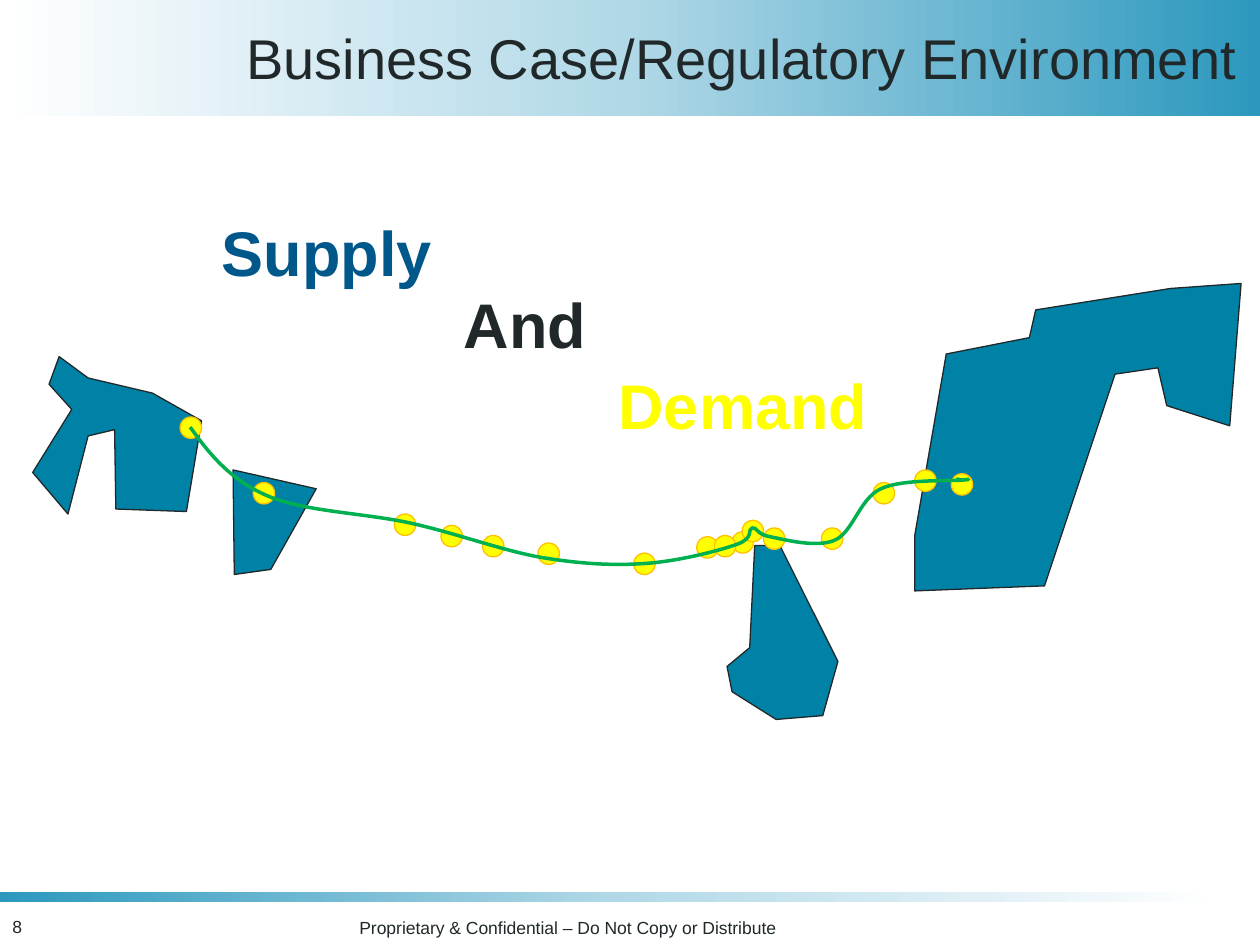
from copy import deepcopy

from lxml import etree
from pptx import Presentation
from pptx import util as u
from pptx.dml.color import RGBColor
from pptx.enum import shapes, text
from pptx.oxml import ns

COLORS = {
    "ink": "20282A", "white": "FFFFFF", "haze": "B0D8E7", "band": "2C98BE",
    "region": "0082A6", "supply": "00578A", "yellow": "FFFF00", "amber": "FFC000",
    "route": "00B050",
}
UNITS_PER_INCH = 100
STATION_SIZE = 0.17
HEADLINE_SIZE = (4.31, 0.71)
HEADLINES = [("Supply", "supply", 0.44, 1.64), ("And", "ink", 2.01, 2.21),
             ("Demand", "yellow", 3.74, 2.85)]
REGIONS = {
    "far west": [(0.47, 2.83), (0.39, 3.05), (0.57, 3.25), (0.26, 3.75), (0.54, 4.08),
                 (0.7, 3.46), (0.91, 3.41), (0.92, 4.04), (1.48, 4.06), (1.6, 3.34),
                 (1.21, 3.12), (0.7, 3)],
    "west": [(1.85, 3.73), (2.51, 3.88), (2.15, 4.52), (1.86, 4.56)],
    "south": [(5.99, 4.33), (6.19, 4.33), (6.65, 5.25), (6.53, 5.68), (6.16, 5.71),
              (5.81, 5.49), (5.77, 5.29), (5.95, 5.14)],
    "east": [(9.29, 2.29), (8.22, 2.46), (8.17, 2.68), (7.51, 2.81), (7.26, 4.25),
             (7.26, 4.69), (8.29, 4.65), (8.85, 2.97), (9.19, 2.92), (9.26, 3.22),
             (9.76, 3.38), (9.85, 2.25)],
}
STATIONS = {
    "west": [(1.43, 3.31), (2.01, 3.83), (3.13, 4.08), (3.5, 4.17), (3.83, 4.25)],
    "centre": [(4.27, 4.31), (5.03, 4.39), (5.53, 4.26), (5.81, 4.22), (6.06, 4.19),
               (6.52, 4.19), (5.67, 4.25), (5.89, 4.13)],
    "east": [(6.93, 3.83), (7.26, 3.73), (7.55, 3.76)],
}
ROUTE_STOPS = [
    (1.51, 3.39), (2.11, 3.93), (3.25, 4.15), (4.33, 4.43), (5.15, 4.47), (5.85, 4.32),
    (5.97, 4.19), (6.11, 4.26), (6.62, 4.29), (6.99, 3.88), (7.65, 3.81), (7.61, 3.81),
    (7.6, 3.79),
]


def inches(*values):
    """Convert inch measures to centimetre lengths."""
    return [u.Cm(value * 2.54) for value in values]


def rgb(name):
    """Look up a palette colour."""
    return RGBColor.from_string(COLORS[name])


def style_shape(shape, fill, line, width):
    """Set the fill, if any, and the outline, without a shadow."""
    shape.shadow.inherit = False
    if fill:
        shape.fill.solid()
        shape.fill.fore_color.rgb = rgb(fill)
    else:
        shape.fill.background()
    shape.line.color.rgb = rgb(line)
    shape.line.width = u.Pt(width)


def write_text(shape, wording, size, color, align, bold=False):
    """Fill a shape with one formatted paragraph."""
    shape.text_frame.text = wording
    shape.text_frame.word_wrap = True
    shape.text_frame.auto_size = text.MSO_AUTO_SIZE.NONE
    paragraph = shape.text_frame.paragraphs[0]
    paragraph.alignment = align
    font = paragraph.runs[0].font
    font.name, font.size, font.bold = "Arial", u.Pt(size), bold
    font.color.rgb = rgb(color)


def add_label(slide, box, wording, size, color, align, bold=False):
    """Add a text box with one formatted paragraph."""
    shape = slide.shapes.add_textbox(*inches(*box))
    write_text(shape, wording, size, color, align, bold)
    return shape


def add_band(slide, box, names):
    """Add a band that blends evenly spaced colours from left to right."""
    shape = slide.shapes.add_shape(shapes.MSO_SHAPE.RECTANGLE, *inches(*box))
    shape.shadow.inherit = False
    shape.line.fill.background()
    shape.fill.gradient()
    shape.fill.gradient_angle = 0
    first = next(shape.element.iter(ns.qn("a:gs")))
    for _ in names[2:]:
        first.addnext(deepcopy(first))
    for index, (stop, name) in enumerate(zip(shape.fill.gradient_stops, names)):
        stop.position = index / (len(names) - 1)
        stop.color.rgb = rgb(name)


def add_title(slide, wording):
    """Place and format the title in front of the bands."""
    title = slide.shapes.title
    title.left, title.top, title.width, title.height = inches(1.75, 0.08, 8.17, 0.75)
    write_text(title, wording, 32, "ink", text.PP_ALIGN.RIGHT)
    title.text_frame.vertical_anchor = text.MSO_ANCHOR.MIDDLE
    title.element.getparent().append(title.element)


def add_headline(slide, wording, color, left, top):
    """Add one large bold word."""
    shape = add_label(slide, (left, top, *HEADLINE_SIZE), wording, 36, color,
                      text.PP_ALIGN.CENTER, True)
    shape.text_frame.vertical_anchor = text.MSO_ANCHOR.MIDDLE
    return shape


def outline_letters(shape, color):
    """Give the letters of a shape a thin outline."""
    properties = next(shape.element.iter(ns.qn("a:rPr")))
    line = etree.Element(ns.qn("a:ln"), w=str(u.Pt(0.75)))
    fill = etree.SubElement(line, ns.qn("a:solidFill"))
    etree.SubElement(fill, ns.qn("a:srgbClr"), val=COLORS[color])
    properties.insert(0, line)


def add_outline(slide, points, close):
    """Add a freeform through points given in inches."""
    grid = [[round(value * UNITS_PER_INCH) for value in point] for point in points]
    builder = slide.shapes.build_freeform(*grid[0], scale=u.Cm(2.54 / UNITS_PER_INCH))
    builder.add_line_segments(grid[1:], close=close)
    return builder.convert_to_shape()


def add_station(slide, left, top):
    """Add one round station marker."""
    box = inches(left, top, STATION_SIZE, STATION_SIZE)
    shape = slide.shapes.add_shape(shapes.MSO_SHAPE.OVAL, *box)
    style_shape(shape, "yellow", "amber", 0.75)


def midpoint(start, end):
    """Return the point halfway between two points."""
    return tuple((a + b) / 2 for a, b in zip(start, end))


def smooth_curve(stops):
    """Return the stops with Catmull-Rom control points between them."""
    arrivals, departures = [], []
    for before, stop, after in zip(stops, stops[1:], stops[2:]):
        pull = [(b - a) / 6 for a, b in zip(before, after)]
        arrivals.append(tuple(c - p for c, p in zip(stop, pull)))
        departures.append(tuple(c + p for c, p in zip(stop, pull)))
    departures.insert(0, midpoint(stops[0], arrivals[0]))
    arrivals.append(midpoint(departures[-1], stops[-1]))
    points = [stops[0]]
    for segment in zip(departures, arrivals, stops[1:]):
        points.extend(segment)
    return points


def add_route(slide, stops):
    """Add a smooth route, turning each three line segments into one curve."""
    shape = add_outline(slide, smooth_curve(stops), False)
    style_shape(shape, None, "route", 2)
    segments = list(shape.element.iter(ns.qn("a:lnTo")))
    outline = segments[0].getparent()
    for index in range(0, len(segments), 3):
        curve = etree.SubElement(outline, ns.qn("a:cubicBezTo"))
        for segment in segments[index:index + 3]:
            curve.append(segment[0])
            outline.remove(segment)


def add_frame(slide):
    """Add the header and footer bands, the footer text and the title."""
    fade = ["white", "haze", "band"]
    add_band(slide, (0, 0, 10, 0.92), fade)
    add_band(slide, (0, 7.08, 9.67, 0.08), fade[::-1])
    add_label(slide, (2.67, 7.23, 3.67, 0.27),
              "Proprietary & Confidential – Do Not Copy or Distribute",
              10, "ink", text.PP_ALIGN.CENTER)
    add_label(slide, (0, 7.22, 1.25, 0.27), "8", 10, "ink", text.PP_ALIGN.LEFT)
    add_title(slide, "Business Case/Regulatory Environment")


def main():
    """Build and save the presentation."""
    presentation = Presentation()
    presentation.slide_width, presentation.slide_height = inches(10, 7.5)
    slide = presentation.slides.add_slide(presentation.slide_layouts[5])
    add_frame(slide)
    for border in REGIONS.values():
        style_shape(add_outline(slide, border, True), "region", "ink", 0.75)
    for stretch in STATIONS.values():
        for left, top in stretch:
            add_station(slide, left, top)
    headlines = [add_headline(slide, *headline) for headline in HEADLINES]
    outline_letters(headlines[-1], "amber")
    add_route(slide, ROUTE_STOPS)
    presentation.save("out.pptx")


if __name__ == "__main__":
    main()
